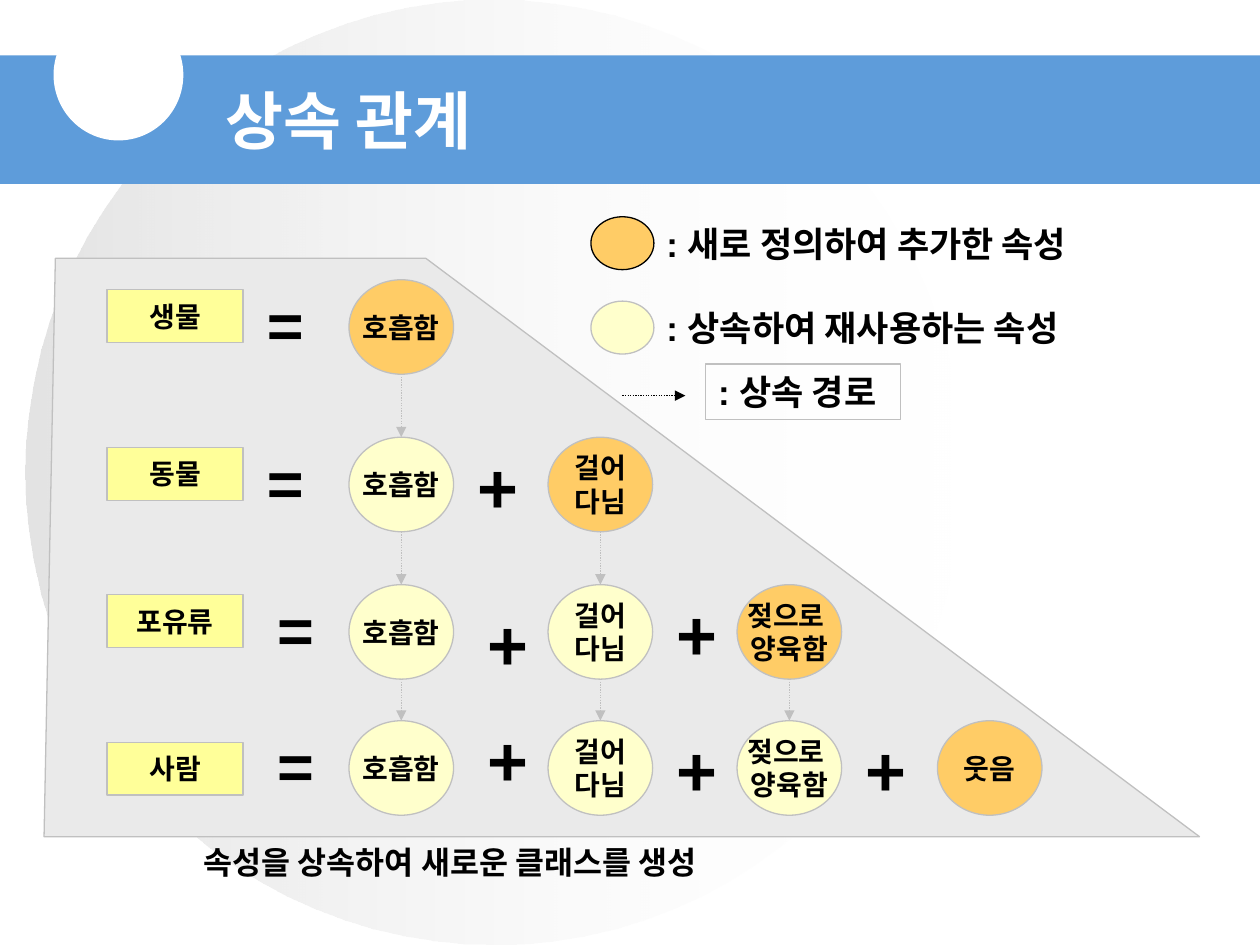
from pptx import Presentation
from pptx.dml.color import RGBColor
from pptx.enum.dml import MSO_LINE
from pptx.enum.shapes import MSO_CONNECTOR, MSO_SHAPE as KIND
from pptx.enum.text import MSO_ANCHOR, MSO_AUTO_SIZE as FIT, PP_ALIGN
from pptx.oxml.ns import qn
from pptx.util import Inches, Pt
from lxml.etree import SubElement

TITLE = "상속 관계"
NOTE = "속성을 상속하여 새로운 클래스를 생성"
LEGEND = [": 새로 정의하여 추가한 속성", ": 상속하여 재사용하는 속성"]
PATH = ": 상속 경로"

TRAITS = ["호흡함", "걸어\n다님", "젖으로 \n양육함", "웃음"]
COLS = [2.77, 4.35, 5.85, 7.44]
# class name, row top, label top, left of "=", place of each "+"
ROWS = [
    ("생물", 2.22, 2.3, 2.02, []),
    ("동물", 3.47, 3.55, 2.02, [(3.69, 3.47)]),
    ("포유류", 4.64, 4.72, 2.1, [(3.77, 4.72), (5.27, 4.64)]),
    ("사람", 5.72, 5.89, 2.1, [(3.77, 5.64), (5.27, 5.72), (6.77, 5.72)]),
]
ZONE = [(0.35, 6.64), (0.44, 2.05), (3.38, 2.05), (9.52, 6.64)]
WIDE, HIGH = 0.83, 0.75

BLUE, WHITE, BLACK = "5E9CDA", "FFFFFF", "000000"
GRAY, PALE = "C0C0C0", "EAEAEA"
NEW, OLD, LABEL = "FFCC66", "FFFFCC", "FFFF99"

deck = Presentation()
deck.slide_width, deck.slide_height = Inches(10), Inches(7.5)
slide = deck.slides.add_slide(deck.slide_layouts[6])
shapes = slide.shapes


def rgb(code):
    return RGBColor.from_string(code)


def paint(shape, fill, line=None):
    shape.shadow.inherit = False
    if fill:
        shape.fill.solid()
        shape.fill.fore_color.rgb = rgb(fill)
    else:
        shape.fill.background()
    if line:
        shape.line.color.rgb = rgb(line)
        shape.line.width = Pt(0.75)
    else:
        shape.line.fill.background()


def draw(kind, box, fill, line=None):
    shape = shapes.add_shape(kind, *map(Inches, box))
    paint(shape, fill, line)
    return shape


def write(shape, text, size, align=PP_ALIGN.LEFT, color=BLACK, font="Arial", gap=0):
    frame = shape.text_frame
    frame.text = text
    frame.word_wrap = False
    for i, para in enumerate(frame.paragraphs):
        para.alignment = align
        if i and gap:
            para.space_before = Pt(gap)
        for run in para.runs:
            run.font.name, run.font.size, run.font.bold = font, Pt(size), True
            run.font.color.rgb = rgb(color)
    return frame


def center(shape, text):
    write(shape, text, 16, PP_ALIGN.CENTER).vertical_anchor = MSO_ANCHOR.MIDDLE


def note(box, text, size, **style):
    frame = write(shapes.add_textbox(*map(Inches, box)), text, size, **style)
    frame.auto_size = FIT.SHAPE_TO_FIT_TEXT
    return frame


def arrow(x1, y1, x2, y2, color):
    link = shapes.add_connector(MSO_CONNECTOR.STRAIGHT, *map(Inches, (x1, y1, x2, y2)))
    link.line.color.rgb = rgb(color)
    link.line.width = Pt(0.75)
    link.line.dash_style = MSO_LINE.ROUND_DOT
    SubElement(link.line._get_or_add_ln(), qn("a:tailEnd"), type="triangle")
    SubElement(link._element.spPr, qn("a:effectLst"))


# Backdrop and title band
disc = draw(KIND.OVAL, (0.2, 0, 7.44, 7.5), WHITE)
disc.fill.gradient()
disc.fill.gradient_angle = 0
for stop, code, alpha in zip(disc.fill.gradient_stops, (GRAY, WHITE), (44, 0)):
    stop.color.rgb = rgb(code)
    tint = disc._element.spPr.findall(".//" + qn("a:srgbClr"))[-1 if code == WHITE else 0]
    SubElement(tint, qn("a:alpha"), val=str(alpha * 1000))
draw(KIND.RECTANGLE, (0, 0.44, 10, 1.02), BLUE)
draw(KIND.OVAL, (0.43, 0.08, 1.02, 1.03), WHITE, WHITE)
title = note((1.69, 0.6, 5.43, 0.6), TITLE, 36, color=WHITE, font="Noto Sans CJK KR")
title.word_wrap, title.auto_size = True, FIT.NONE

# Inheritance staircase
pen = shapes.build_freeform(*map(Inches, ZONE[0]))
pen.add_line_segments([tuple(map(Inches, spot)) for spot in ZONE[1:]], close=True)
paint(pen.convert_to_shape(), PALE, GRAY)

for row, (name, top, label, equal, pluses) in enumerate(ROWS):
    center(draw(KIND.RECTANGLE, (0.85, label, 1.08, 0.42), LABEL, GRAY), name)
    note((equal, top, 0.48, 0.7), "=", 36)
    for col in range(row + 1):
        left = COLS[col]
        fill = NEW if col == row else OLD
        center(draw(KIND.OVAL, (left, top, WIDE, HIGH), fill, GRAY), TRAITS[col])
        if col < row:
            mid = left + WIDE / 2
            arrow(mid, ROWS[row - 1][1] + HIGH, mid, top, GRAY)
    for x, y in pluses:
        note((x, y, 0.52, 0.77), "+", 40)

# Legend
draw(KIND.OVAL, (4.69, 1.72, 0.5, 0.42), NEW, BLACK)
draw(KIND.OVAL, (4.69, 2.39, 0.5, 0.42), OLD, GRAY)
note((5.19, 1.72, 3.63, 1.43), "\n".join(LEGEND), 20, gap=24).auto_size = FIT.NONE
arrow(4.94, 3.14, 5.44, 3.14, BLACK)
path = draw(KIND.RECTANGLE, (5.6, 2.89, 1.55, 0.44), None, GRAY)
write(path, PATH, 20).auto_size = FIT.SHAPE_TO_FIT_TEXT

note((1.52, 6.64, 5.87, 0.5), NOTE, 18)

deck.save("out.pptx")
